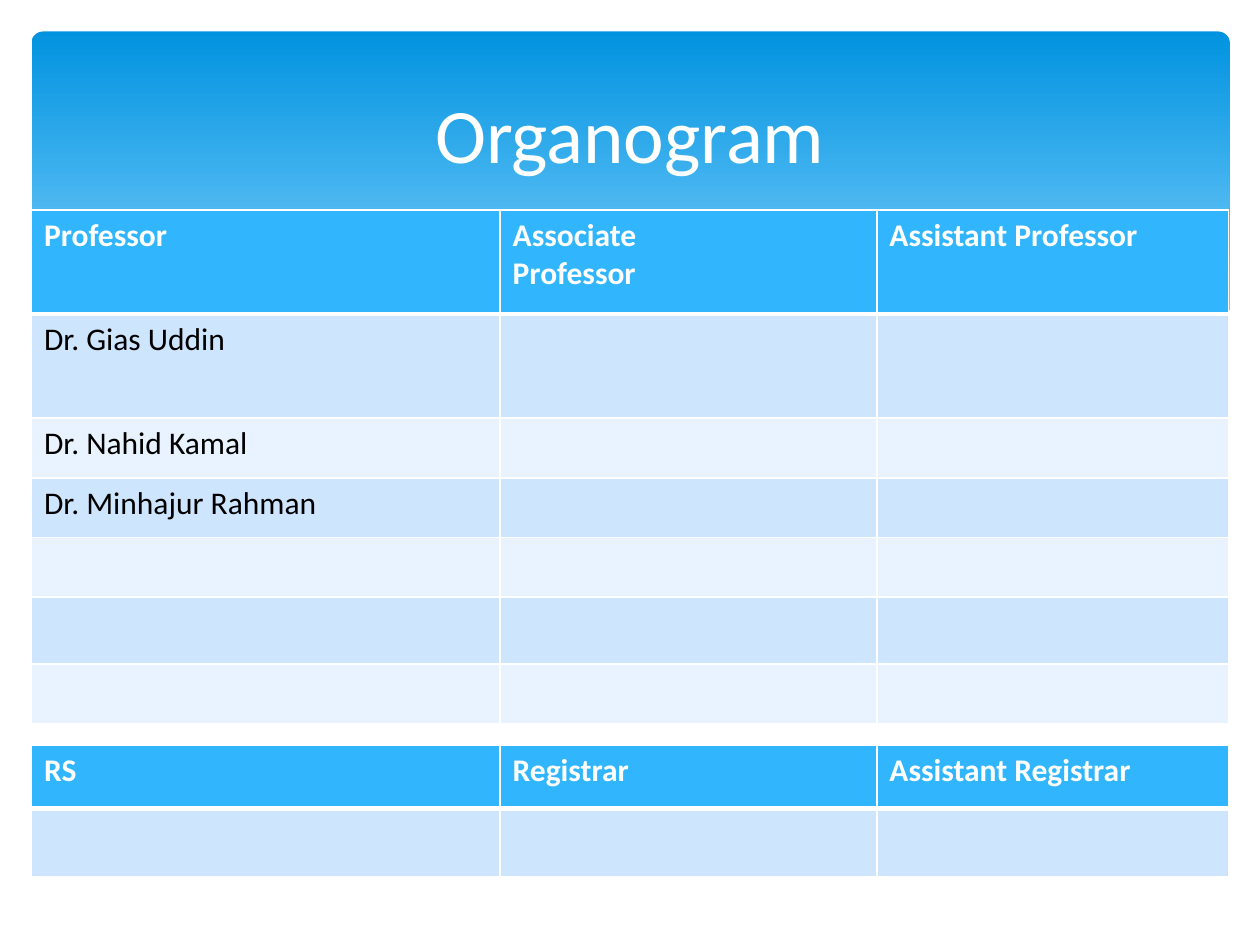
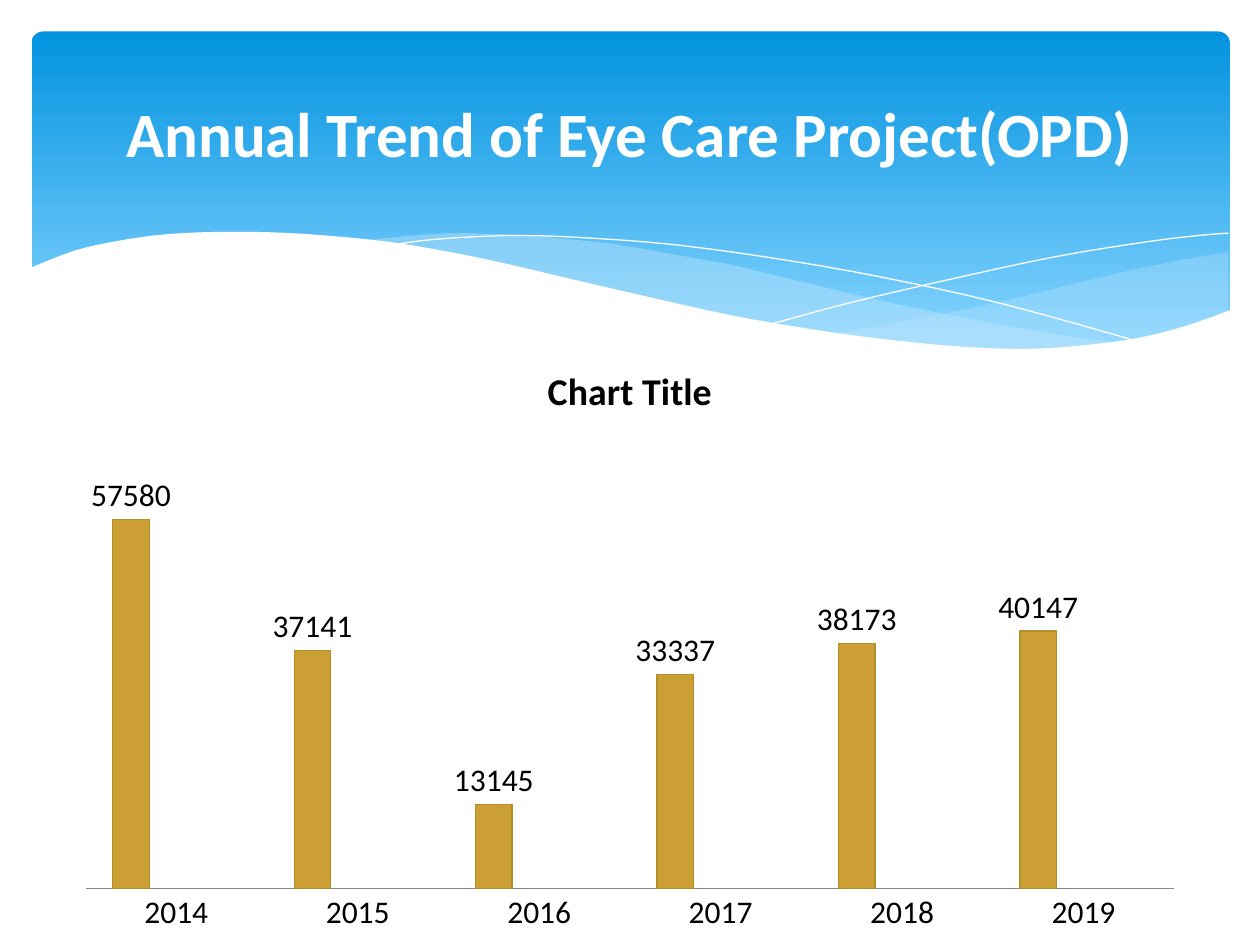
from dataclasses import dataclass
from lxml.etree import SubElement
from pptx import Presentation
from pptx.chart.data import CategoryChartData
from pptx.dml.color import RGBColor
from pptx.enum.chart import XL_CHART_TYPE, XL_LABEL_POSITION, XL_TICK_MARK
from pptx.enum.shapes import MSO_SHAPE
from pptx.enum.text import MSO_ANCHOR, PP_ALIGN
from pptx.oxml.ns import qn
from pptx.util import Pt


@dataclass(frozen=True)
class Theme:
    font: str = "Calibri"
    white: str = "FFFFFF"
    black: str = "000000"
    band_top: str = "0293E0"
    band_bottom: str = "83D3FE"
    wave: str = "C6E7FC"
    head: str = "31B6FD"
    row_dark: str = "CEE5FE"
    row_light: str = "E8F3FF"
    bar: str = "CC9F35"
    bar_edge: str = "B08F28"
    axis: str = "868686"
    title: float = 44
    title_small: float = 36
    chart_title: float = 21.6
    body: float = 18


T = Theme()

STAFF = [
    ("Professor", "Associate\nProfessor", "Assistant Professor"),
    ("Dr. Gias Uddin", "", ""),
    ("Dr. Nahid Kamal", "", ""),
    ("Dr. Minhajur Rahman", "", ""),
    ("", "", ""),
    ("", "", ""),
    ("", "", ""),
]
STAFF_ROWS = [59.5, 59.5, 34.1, 34.1, 34.1, 38.3, 34.1]
OFFICE = [("RS", "Registrar", "Assistant Registrar"), ("", "", "")]
OFFICE_ROWS = [36, 38.9]
COLUMNS = [267.8, 215.3, 200.9]
LEFT = 18

PATIENTS = {"2014": 57580, "2015": 37141, "2016": 13145,
            "2017": 33337, "2018": 38173, "2019": 40147}
EMPTY_SERIES = ["Series 2", "Series 3"]

RIGHT_TOP = [(702, 144), (673.2, 148.9), (641.5, 155.5), (619.9, 160.6),
             (579.6, 170.6), (542.2, 178.6), (508.3, 185), (475.9, 190.8)]
RIGHT_BOTTOM = [(475.9, 190.8), (507.6, 195.1), (536.4, 198), (570.2, 199.4),
                (600.5, 199.4), (627.8, 198), (645.8, 194.4), (673.2, 188.6),
                (702, 177.8)]
MIDDLE_TOP = [(643, 196.6), (602.6, 190.8), (558, 182.9), (508.3, 172.8),
              (452.9, 159.8), (420.5, 151.9), (389.5, 146.2), (352.1, 139.7),
              (318.2, 136.1), (287.3, 133.9), (259.9, 133.2), (236.2, 134.6),
              (205.9, 137.5)]
MIDDLE_BOTTOM = [(205.9, 137.5), (246.2, 143.3), (290.9, 151.9),
                 (323.3, 159.8), (381.6, 172.8), (432.7, 183.6),
                 (478.8, 191.5), (519.8, 197.3), (556.6, 199.4), (589, 200.2),
                 (624.2, 198.7), (643, 196.6)]
FALLING = [(222.5, 140.4), (241.2, 137.5), (269.3, 135.4), (299.5, 134.6),
           (337.7, 136.1), (383.8, 139.7), (437.8, 146.9), (500.4, 157.7),
           (572.4, 173.5), (653, 195.8)]
RISING = [(441.4, 185), (483.8, 173.5), (538.6, 160.6), (602, 146.9),
          (655.2, 138.2), (684.7, 134.6), (702, 133.2)]
PAGE_EDGE = [(703.4, 177.1), (676.8, 186.5), (647.3, 193.7), (612, 198),
             (582.5, 199.4), (547.9, 198), (509.8, 194.4), (466.6, 188.6),
             (416.9, 180), (362.2, 167.8), (321.8, 158.4), (281.5, 149),
             (244.8, 141.8), (210.2, 136.8), (165.6, 133.2), (127.4, 132.5),
             (95, 133.9), (68.4, 137.5), (42.5, 143.3), (16.6, 153.4)]
PAGE_CORNERS = [(16.6, 236.9), (703.4, 236.9)]


def rgb(value):
    return RGBColor.from_string(value)


def set_font(font, size, color, bold=False):
    font.name, font.size, font.bold = T.font, Pt(size), bold
    font.color.rgb = rgb(color)


def smooth(knots, steps=4):
    ends = [knots[0], *knots, knots[-1]]
    curve = [knots[0]]
    for a, b, c, d in zip(ends, ends[1:], ends[2:], ends[3:]):
        for i in range(1, steps + 1):
            t = i / steps
            curve.append(tuple(
                (2 * q + (r - p) * t + (2 * p - 5 * q + 4 * r - s) * t ** 2
                 + (3 * q - p - 3 * r + s) * t ** 3) / 2
                for p, q, r, s in zip(a, b, c, d)))
    return curve


def add_outline(slide, points, fill=None, alpha=None):
    pts = [(Pt(x), Pt(y)) for x, y in points]
    builder = slide.shapes.build_freeform(*pts[0])
    builder.add_line_segments(pts[1:], close=fill is not None)
    sp = builder.convert_to_shape()
    sp.shadow.inherit = False
    if fill is None:
        sp.fill.background()
        sp.line.color.rgb = rgb(T.white)
        sp.line.width = Pt(0)
        return
    sp.line.fill.background()
    sp.fill.solid()
    sp.fill.fore_color.rgb = rgb(fill)
    if alpha:
        color = next(sp.fill._xPr.iter(qn("a:srgbClr")))
        SubElement(color, qn("a:alpha"), val=str(alpha * 1000))


def add_band(slide):
    sp = slide.shapes.add_shape(MSO_SHAPE.ROUNDED_RECTANGLE,
                                Pt(LEFT), Pt(18), Pt(684.7), Pt(194.4))
    sp.adjustments[0] = 0.034
    sp.shadow.inherit = False
    sp.line.fill.background()
    sp.fill.gradient()
    sp.fill.gradient_angle = 270
    stops = [(0, T.band_top), (0.9, T.band_bottom)]
    for stop, (position, color) in zip(sp.fill.gradient_stops, stops):
        stop.position = position
        stop.color.rgb = rgb(color)
    add_outline(slide, smooth(RIGHT_TOP) + smooth(RIGHT_BOTTOM), T.wave, 29)
    add_outline(slide, smooth(MIDDLE_TOP) + smooth(MIDDLE_BOTTOM), T.wave, 40)
    add_outline(slide, smooth(FALLING))
    add_outline(slide, smooth(RISING))
    add_outline(slide, smooth(PAGE_EDGE) + PAGE_CORNERS, T.white)


def add_titled_slide(prs, title, size, bold=False):
    s = prs.slides.add_slide(prs.slide_layouts[6])
    add_band(s)
    tf = s.shapes.add_textbox(Pt(36), Pt(26.6), Pt(648), Pt(98.6)).text_frame
    tf.word_wrap = True
    tf.vertical_anchor = MSO_ANCHOR.MIDDLE
    p = tf.paragraphs[0]
    p.text = title
    p.alignment = PP_ALIGN.CENTER
    set_font(p.font, size, T.white, bold)
    return s


def set_borders(cell, bottom):
    tc_pr = cell._tc.get_or_add_tcPr()
    for side, width in (("L", 1), ("R", 1), ("T", 1), ("B", bottom)):
        ln = SubElement(tc_pr, qn(f"a:ln{side}"), w=str(Pt(width)))
        SubElement(SubElement(ln, qn("a:solidFill")), qn("a:srgbClr"),
                   val=T.white)


def add_staff_table(slide, top, rows, heights):
    table = slide.shapes.add_table(
        len(rows), len(COLUMNS), Pt(LEFT), Pt(top),
        Pt(sum(COLUMNS)), Pt(sum(heights))).table
    for column, width in zip(table.columns, COLUMNS):
        column.width = Pt(width)
    for i, (texts, height) in enumerate(zip(rows, heights)):
        table.rows[i].height = Pt(height)
        head = i == 0
        fill = T.head if head else T.row_dark if i % 2 else T.row_light
        for j, text in enumerate(texts):
            cell = table.cell(i, j)
            set_borders(cell, 3 if head else 1)
            cell.fill.solid()
            cell.fill.fore_color.rgb = rgb(fill)
            cell.text = text
            for p in cell.text_frame.paragraphs:
                set_font(p.font, T.body, T.white if head else T.black, head)


def add_trend_chart(slide):
    data = CategoryChartData()
    data.categories = list(PATIENTS)
    data.add_series("Series 1", list(PATIENTS.values()))
    for name in EMPTY_SERIES:
        data.add_series(name, [None] * len(PATIENTS))
    chart = slide.shapes.add_chart(XL_CHART_TYPE.COLUMN_CLUSTERED, Pt(36),
                                   Pt(193.7), Pt(648), Pt(345.6), data).chart
    set_font(chart.font, T.body, T.black)
    chart.has_legend = False
    chart.has_title = True
    p = chart.chart_title.text_frame.paragraphs[0]
    p.text = "Chart Title"
    set_font(p.font, T.chart_title, T.black, True)

    plot = chart.plots[0]
    plot.vary_by_categories = False
    plot.gap_width, plot.overlap = 150, -25
    plot.has_data_labels = True
    plot.data_labels.show_value = True
    plot.data_labels.position = XL_LABEL_POSITION.OUTSIDE_END
    for series in plot.series:
        series.format.fill.solid()
        series.format.fill.fore_color.rgb = rgb(T.bar)
        series.format.line.color.rgb = rgb(T.bar_edge)
        series.format.line.width = Pt(0.75)

    axis = chart.category_axis
    axis.major_tick_mark = XL_TICK_MARK.NONE
    axis.format.line.color.rgb = rgb(T.axis)
    values = chart.value_axis
    values.visible = False
    values.has_major_gridlines = False
    values.minimum_scale, values.maximum_scale = 0, 70000


def main():
    prs = Presentation()
    prs.slide_width, prs.slide_height = Pt(720), Pt(540)
    s = add_titled_slide(prs, "Organogram", T.title)
    add_staff_table(s, 120, STAFF, STAFF_ROWS)
    add_staff_table(s, 426, OFFICE, OFFICE_ROWS)
    s = add_titled_slide(prs, "Annual Trend of Eye Care Project(OPD)",
                         T.title_small, True)
    add_trend_chart(s)
    prs.save("out.pptx")


if __name__ == "__main__":
    main()
